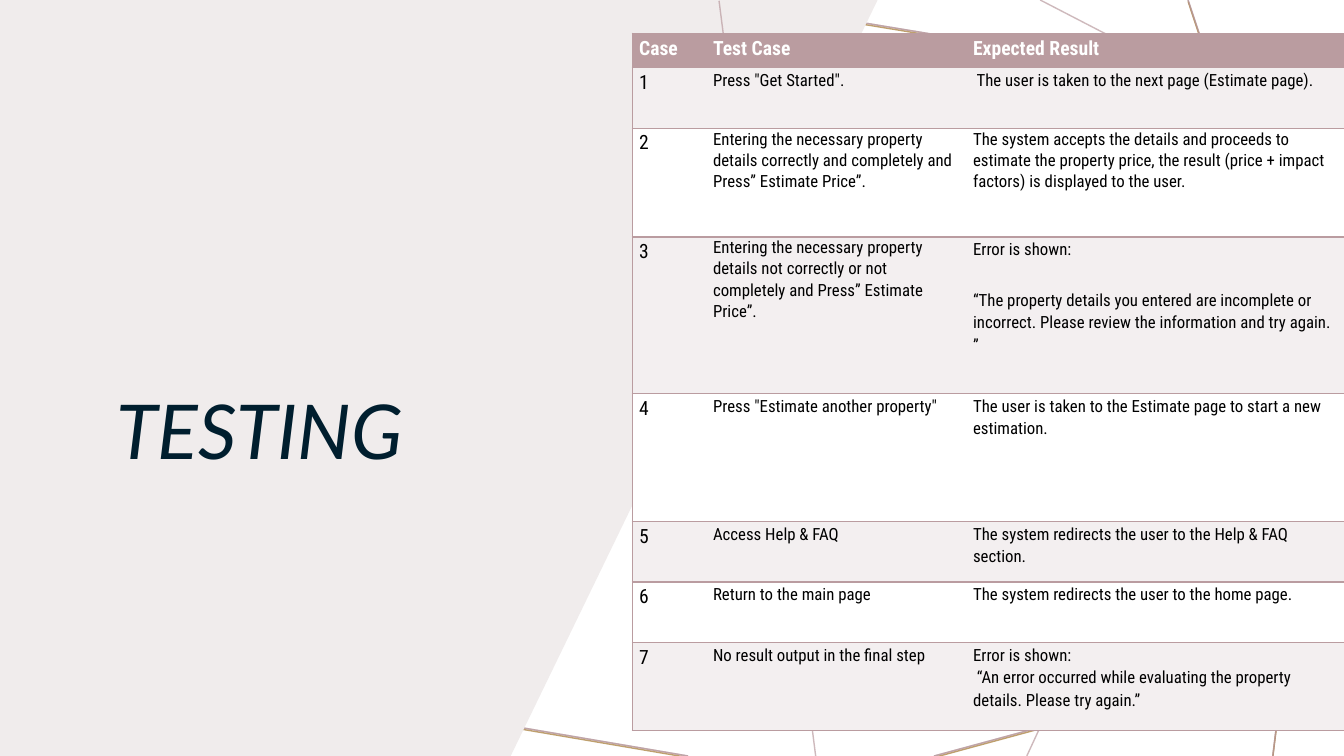
from lxml.etree import SubElement
from pptx import Presentation
from pptx.dml.color import RGBColor
from pptx.enum.shapes import MSO_CONNECTOR
from pptx.enum.text import MSO_ANCHOR
from pptx.oxml.ns import qn
from pptx.util import Inches, Pt

ROSE = RGBColor(0xBA, 0x9C, 0xA0)
GOLD = RGBColor(0xA5, 0x79, 0x31)
MIST = RGBColor(0xF0, 0xEC, 0xEC)
PALE = RGBColor(0xF3, 0xEF, 0xF0)
NAVY = RGBColor(0x00, 0x1E, 0x2E)
WHITE = RGBColor(0xFF, 0xFF, 0xFF)
BLACK = RGBColor(0x00, 0x00, 0x00)

WIDTH, HEIGHT = Inches(13.33), Inches(7.5)

RAYS = [
    (25.6, 0, 0, 10), (7.4, 0, 0, 95.5), (51.2, 100, -0.4, 84.4),
    (100, 85.3, 69.5, 100), (100, 24, 94.7, 100),
    (100, 62.1, 88.4, 0), (100, 13.5, 53.6, -0.1),
]
FRONT = [(60.7, 100.1, 53.5, 0.1), (76.4, 100, 100, 9.3), (77.4, 0, 100, 20.8)]
PANEL = [(0, 0), (65.3, 0), (38, 100), (0, 100)]

COLS = [5.5, 19.35, 28.15]
ROWS = [4.55, 8, 14.4, 20.7, 16.95, 8, 8, 11.6]
TIGHT = {(2, 1), (2, 2), (3, 1)}
CASES = [
    ("Case", "Test Case", "Expected Result"),
    ("1", 'Press "Get Started".',
     " The user is taken to the next page (Estimate page)."),
    ("2", "Entering the necessary property details correctly and completely and Press” Estimate Price”.",
     "The system accepts the details and proceeds to estimate the property price, "
     "the result (price + impact factors) is displayed to the user."),
    ("3", "Entering the necessary property details not correctly or not completely and Press” Estimate Price”.",
     "Error is shown:\n“The property details you entered are incomplete or incorrect. "
     "Please review the information and try again. ”"),
    ("4", 'Press "Estimate another property"',
     "The user is taken to the Estimate page to start a new estimation."),
    ("5", "Access Help & FAQ",
     "The system redirects the user to the Help & FAQ section."),
    ("6", "Return to the main page",
     "The system redirects the user to the home page."),
    ("7", "No result output in the final step",
     "Error is shown:\v “An error occurred while evaluating the property details. Please try again.”"),
]


def across(share):
    return round(WIDTH * share / 100)


def down(share):
    return round(HEIGHT * share / 100)


def style(para, face, size, color, bold=False, slant=False):
    font = para.font
    font.name, font.size = face, Pt(size)
    font.bold, font.italic = bold, slant
    font.color.rgb = color


def add_ray(slide, ends, color, drop=0):
    left, top, right, base = ends
    ray = slide.shapes.add_connector(
        MSO_CONNECTOR.STRAIGHT, across(left), down(top + drop),
        across(right), down(base + drop))
    ray.line.color.rgb = color
    ray.line.width = Pt(1)
    props = ray._element.spPr
    tint = next(props.iter(qn("a:srgbClr")))
    SubElement(tint, qn("a:alpha"), val="70000")
    SubElement(props, qn("a:effectLst"))


def add_panel(slide):
    first, *rest = [(across(x), down(y)) for x, y in PANEL]
    path = slide.shapes.build_freeform(*first)
    path.add_line_segments(rest, close=True)
    panel = path.convert_to_shape()
    panel.shadow.inherit = False
    panel.fill.solid()
    panel.fill.fore_color.rgb = MIST
    panel.line.fill.background()


def add_title(slide):
    box = slide.shapes.add_textbox(across(7.9), down(7.9), across(39.2), down(55.7))
    frame = box.text_frame
    frame.word_wrap = True
    frame.vertical_anchor = MSO_ANCHOR.BOTTOM
    para = frame.paragraphs[0]
    para.text = "TESTING"
    para.line_spacing = 0.9
    style(para, "Lato", 54, NAVY, slant=True)


def add_edges(cell, sides):
    props = cell._tc.get_or_add_tcPr()
    for side in "LRTB":
        edge = SubElement(props, qn(f"a:ln{side}"), w=str(Pt(1)))
        if side in sides:
            fill = SubElement(edge, qn("a:solidFill"))
            SubElement(fill, qn("a:srgbClr"), val=str(ROSE))
        else:
            SubElement(edge, qn("a:noFill"))


def fill_cell(cell, row, col, text):
    cell.margin_left = cell.margin_right = Inches(0.07)
    cell.margin_top = cell.margin_bottom = 0
    add_edges(cell, "TB" + {0: "L", len(COLS) - 1: "R"}.get(col, ""))
    cell.fill.solid()
    cell.fill.fore_color.rgb = ROSE if row == 0 else PALE if row % 2 else WHITE
    cell.text = text
    size = 14 if row == 0 or col == 0 else 12
    for spot, para in enumerate(cell.text_frame.paragraphs):
        para.line_spacing = 1.07 if (row, col) in TIGHT else 1.15
        para.space_before = Pt(12 if spot else 0)
        para.space_after = Pt(8)
        style(para, "Roboto Condensed", size, BLACK if row else WHITE, bold=row == 0)


def add_cases(slide):
    table = slide.shapes.add_table(
        len(ROWS), len(COLS), across(47.03), down(4.4),
        across(sum(COLS)), down(sum(ROWS))).table
    table.first_row = table.horz_banding = False
    for col, share in enumerate(COLS):
        table.columns[col].width = across(share)
    for row, share in enumerate(ROWS):
        table.rows[row].height = down(share)
        for col, text in enumerate(CASES[row]):
            fill_cell(table.cell(row, col), row, col, text)


def main():
    deck = Presentation()
    deck.slide_width, deck.slide_height = WIDTH, HEIGHT
    slide = deck.slides.add_slide(deck.slide_layouts[6])
    for color, drop in ((ROSE, 0), (GOLD, 0.2), (ROSE, 0)):
        for ends in RAYS:
            add_ray(slide, ends, color, drop)
    add_panel(slide)
    add_title(slide)
    for ends in FRONT:
        add_ray(slide, ends, ROSE)
    add_cases(slide)
    deck.save("out.pptx")


if __name__ == "__main__":
    main()
